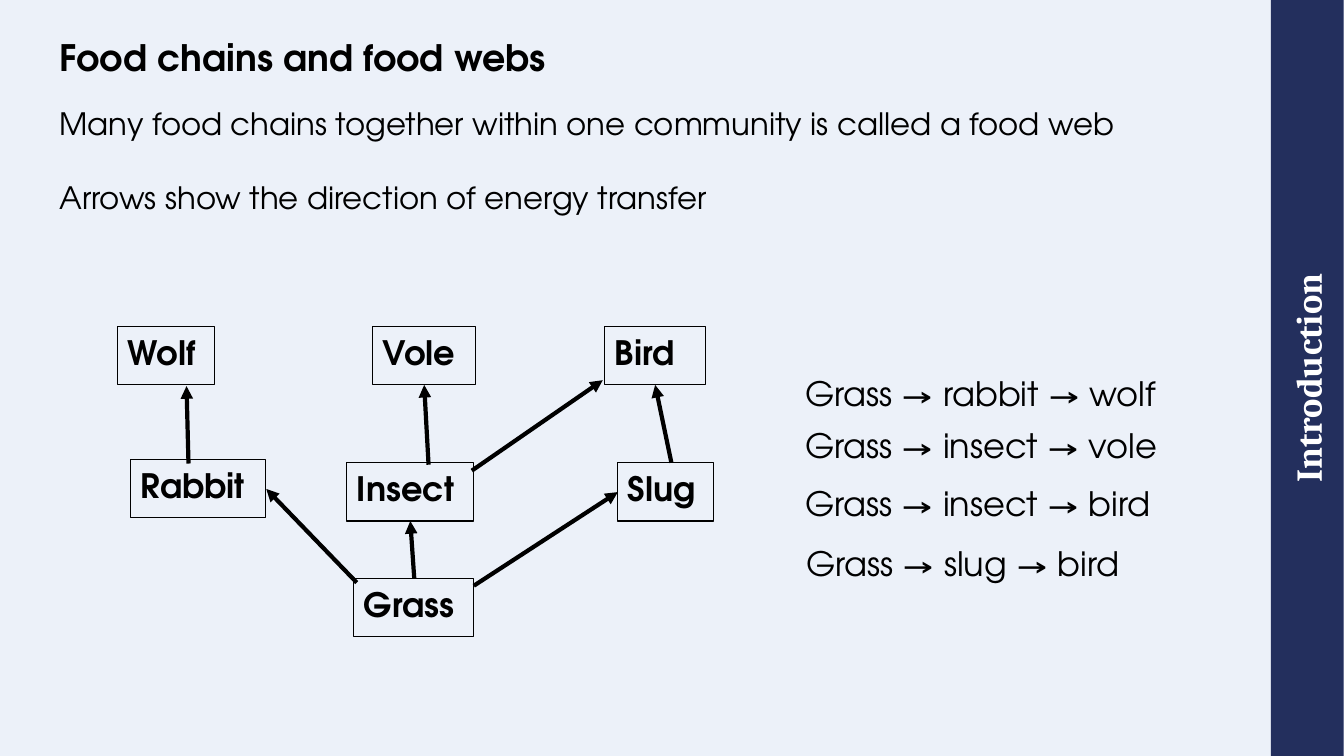
from dataclasses import dataclass

from lxml.etree import SubElement
from pptx import Presentation
from pptx.dml.color import RGBColor
from pptx.enum.shapes import MSO_CONNECTOR, MSO_SHAPE
from pptx.enum.text import MSO_ANCHOR, MSO_AUTO_SIZE, PP_ALIGN
from pptx.oxml.ns import qn
from pptx.slide import Slide
from pptx.text.text import TextFrame, _Paragraph
from pptx.util import Cm, Pt

COLOURS = {
    "background": "ECF1F9",
    "band": "232F5D",
    "ink": "000000",
    "band_text": "FFFFFF",
}
BODY_FONT = "TeX Gyre Adventor"
BAND_FONT = "Cambria"
BOX_HEIGHT = 1.47
CHAIN_LEFT = 20.04


@dataclass
class Organism:
    name: str
    left: float
    top: float
    width: float


@dataclass
class EnergyArrow:
    start: tuple[float, float]
    end: tuple[float, float]


@dataclass
class FoodChain:
    members: list[str]
    top: float
    left: float = CHAIN_LEFT


ORGANISMS = [
    Organism("Grass", 8.92, 14.58, 3.02),
    Organism("Rabbit", 3.3, 11.58, 3.4),
    Organism("Insect", 8.74, 11.66, 3.2),
    Organism("Slug", 15.57, 11.66, 2.41),
    Organism("Bird", 15.24, 8.23, 2.54),
    Organism("Vole", 9.4, 8.23, 2.59),
    Organism("Wolf", 2.97, 8.23, 2.44),
]
ARROWS = [
    EnergyArrow((11.94, 14.76), (15.57, 12.4)),
    EnergyArrow((8.99, 14.68), (6.71, 12.32)),
    EnergyArrow((10.44, 14.58), (10.34, 13.13)),
    EnergyArrow((11.89, 11.86), (15.19, 9.58)),
    EnergyArrow((10.8, 11.71), (10.69, 9.7)),
    EnergyArrow((16.92, 11.66), (16.51, 9.7)),
    EnergyArrow((4.75, 11.68), (4.7, 9.73)),
]
CHAINS = [
    FoodChain(["Grass", "rabbit", "wolf"], 9.27),
    FoodChain(["Grass", "insect", "vole"], 10.59),
    FoodChain(["Grass", "insect", "bird"], 12.04),
    FoodChain(["Grass", "slug", "bird"], 13.54, 20.07),
]
STATEMENTS = [
    "Many food chains together within one community is called a food web",
    "Arrows show the direction of energy transfer",
]


def colour(name: str) -> RGBColor:
    return RGBColor.from_string(COLOURS[name])


def add_text(paragraph: _Paragraph, text: str, size: float, bold: bool = False,
             font: str = BODY_FONT, ink: str = "ink",
             alignment: PP_ALIGN = PP_ALIGN.LEFT) -> None:
    paragraph.alignment = alignment
    run = paragraph.add_run()
    run.text = text
    run.font.name = font
    run.font.size = Pt(size)
    run.font.bold = bold
    run.font.color.rgb = colour(ink)


def set_frame(frame: TextFrame, anchor: MSO_ANCHOR, margins: bool = True) -> None:
    frame.word_wrap = True
    frame.auto_size = MSO_AUTO_SIZE.NONE
    frame.vertical_anchor = anchor
    frame.margin_left = frame.margin_right = Cm(0.25 if margins else 0)
    frame.margin_top = frame.margin_bottom = Cm(0.13 if margins else 0)


def place(shape, left: float, top: float, width: float, height: float) -> None:
    shape.left, shape.top = Cm(left), Cm(top)
    shape.width, shape.height = Cm(width), Cm(height)


def add_band(slide: Slide) -> None:
    band = slide.shapes.add_shape(
        MSO_SHAPE.RECTANGLE, Cm(23.42), Cm(8.61), Cm(19.05), Cm(1.83))
    band.rotation = 270
    band.shadow.inherit = False
    band.fill.solid()
    band.fill.fore_color.rgb = colour("band")
    band.line.fill.background()
    set_frame(band.text_frame, MSO_ANCHOR.MIDDLE, margins=False)
    add_text(band.text_frame.paragraphs[0], "Introduction", 26, True,
             BAND_FONT, "band_text", PP_ALIGN.CENTER)


def fill_title(slide: Slide) -> None:
    title = slide.shapes.title
    place(title, 1.5, 0, 29.49, 2.01)
    set_frame(title.text_frame, MSO_ANCHOR.BOTTOM, margins=False)
    paragraph = title.text_frame.paragraphs[0]
    paragraph.line_spacing = 0.9
    add_text(paragraph, "Food chains and food webs", 26, True)


def fill_body(slide: Slide) -> None:
    body = slide.placeholders[1]
    place(body, 1.5, 2.64, 28.45, 2.82)
    frame = body.text_frame
    set_frame(frame, MSO_ANCHOR.TOP, margins=False)
    for index, statement in enumerate(STATEMENTS):
        paragraph = frame.add_paragraph() if index else frame.paragraphs[0]
        properties = paragraph._p.get_or_add_pPr()
        properties.set("marL", "0")
        properties.set("indent", "0")
        SubElement(properties, qn("a:buNone"))
        paragraph.space_before = Pt(26.4 if index else 0)
        add_text(paragraph, statement, 22)


def add_organism(slide: Slide, organism: Organism) -> None:
    box = slide.shapes.add_shape(
        MSO_SHAPE.RECTANGLE, Cm(organism.left), Cm(organism.top),
        Cm(organism.width), Cm(BOX_HEIGHT))
    box.shadow.inherit = False
    box.fill.background()
    box.line.color.rgb = colour("ink")
    box.line.width = Pt(0.75)
    set_frame(box.text_frame, MSO_ANCHOR.TOP)
    add_text(box.text_frame.paragraphs[0], organism.name, 24, True)


def add_arrow(slide: Slide, arrow: EnergyArrow) -> None:
    points = [Cm(value) for value in arrow.start + arrow.end]
    connector = slide.shapes.add_connector(MSO_CONNECTOR.STRAIGHT, *points)
    connector.line.color.rgb = colour("ink")
    connector.line.width = Pt(3)
    SubElement(connector.line._get_or_add_ln(), qn("a:tailEnd"), type="triangle")
    SubElement(connector._element.spPr, qn("a:effectLst"))


def add_chain(slide: Slide, chain: FoodChain) -> None:
    box = slide.shapes.add_textbox(
        Cm(chain.left), Cm(chain.top), Cm(12.4), Cm(1.27))
    set_frame(box.text_frame, MSO_ANCHOR.TOP)
    add_text(box.text_frame.paragraphs[0], " → ".join(chain.members), 24)


def main() -> None:
    presentation = Presentation()
    presentation.slide_width, presentation.slide_height = Cm(33.87), Cm(19.05)
    slide = presentation.slides.add_slide(presentation.slide_layouts[1])

    # Background and section band
    slide.background.fill.solid()
    slide.background.fill.fore_color.rgb = colour("background")
    add_band(slide)

    # Heading and statements
    fill_title(slide)
    fill_body(slide)

    # Food web
    for organism in ORGANISMS:
        add_organism(slide, organism)
    for arrow in ARROWS:
        add_arrow(slide, arrow)

    # Food chains read from the web
    for chain in CHAINS:
        add_chain(slide, chain)

    presentation.save("out.pptx")


if __name__ == "__main__":
    main()
